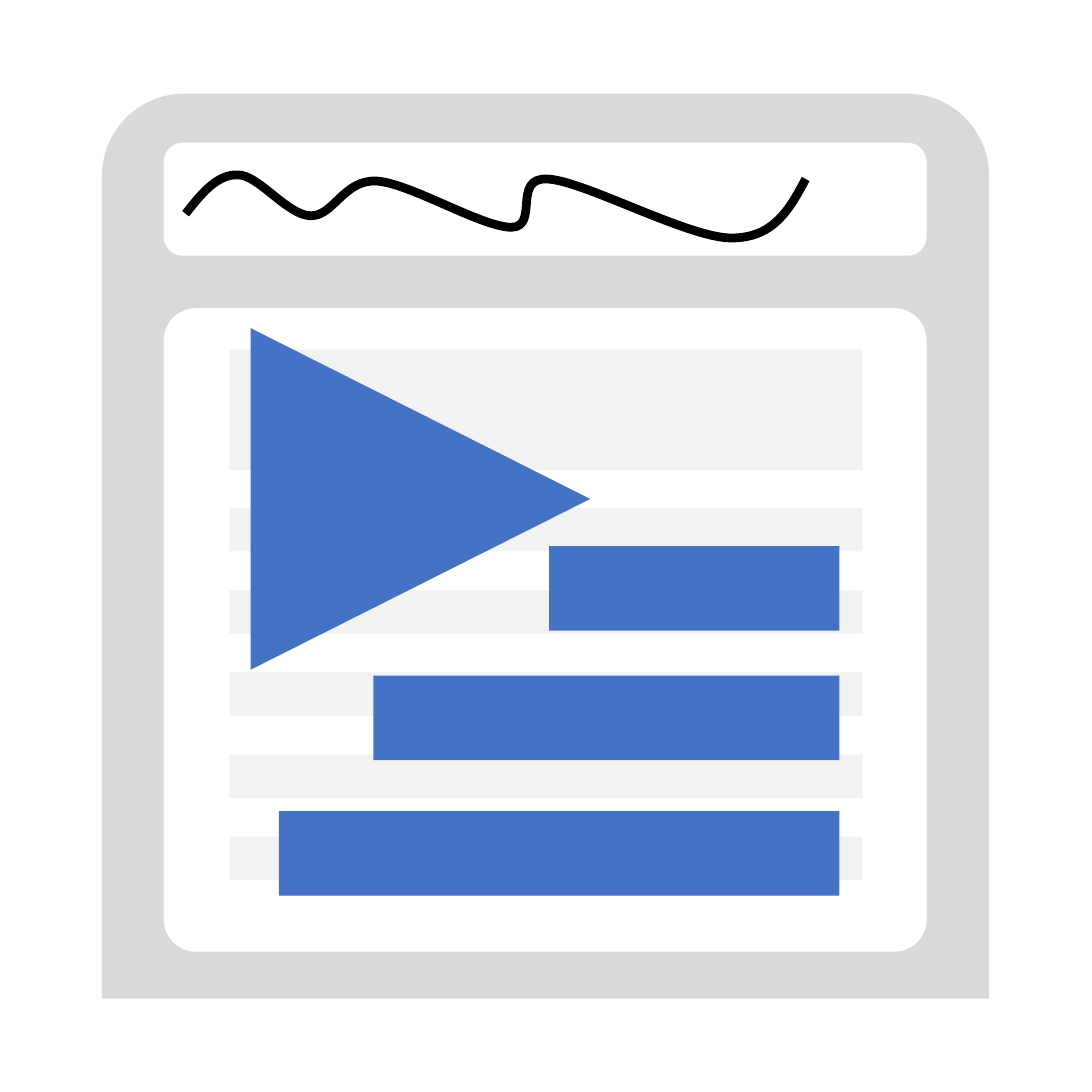
"""Build a slide with a page icon: a header scribble, text lines, a play triangle and bars."""
from pptx import Presentation
from pptx.dml.color import RGBColor
from pptx.enum.shapes import MSO_SHAPE as Preset
from pptx.oxml.ns import qn
from pptx.util import Cm, Pt

GREY, WHITE, PALE, BLUE, BLACK = "D9D9D9", "FFFFFF", "F2F2F2", "4472C4", "000000"


def color(hex_string):
    return RGBColor.from_string(hex_string)


def add_block(shapes, preset, fill, left, top, width, height, adjustments=()):
    shape = shapes.add_shape(preset, Cm(left), Cm(top), Cm(width), Cm(height))
    shape.shadow.inherit = False
    shape.fill.solid()
    shape.fill.fore_color.rgb = color(fill)
    shape.line.fill.background()
    for index, value in enumerate(adjustments):
        shape.adjustments[index] = value
    return shape


presentation = Presentation()
presentation.slide_width = presentation.slide_height = Cm(26.47)
slide = presentation.slides.add_slide(presentation.slide_layouts[6])
shapes = slide.shapes

add_block(shapes, Preset.ROUND_2_SAME_RECTANGLE, GREY, 2.47, 2.27, 21.51, 21.94, (0.093, 0))
add_block(shapes, Preset.ROUNDED_RECTANGLE, WHITE, 3.97, 3.46, 18.49, 2.74)
add_block(shapes, Preset.ROUNDED_RECTANGLE, WHITE, 3.97, 7.47, 18.49, 15.6, (0.05,))

scribble_start = (4.5, 5.18)
scribble_curves = [
    [(4.88, 4.7), (5.26, 4.22), (5.77, 4.24)],
    [(6.27, 4.24), (6.96, 5.21), (7.52, 5.23)],
    [(8.08, 5.26), (8.33, 4.34), (9.14, 4.39)],
    [(9.96, 4.45), (11.68, 5.51), (12.4, 5.51)],
    [(13.08, 5.49), (12.4, 4.29), (13.28, 4.34)],
    [(14.17, 4.39), (16.69, 5.77), (17.73, 5.77)],
    [(18.77, 5.77), (19.15, 5.05), (19.53, 4.34)],
]
builder = shapes.build_freeform(*map(Cm, scribble_start))
for curve in scribble_curves:
    builder.add_line_segments([(Cm(x), Cm(y)) for x, y in curve], close=False)
scribble = builder.convert_to_shape()
segments = list(scribble.element.iter(qn("a:lnTo")))
for first in range(0, len(segments), 3):
    bezier = segments[first].makeelement(qn("a:cubicBezTo"))
    segments[first].addprevious(bezier)
    for segment in segments[first:first + 3]:
        bezier.append(segment[0])
        segment.getparent().remove(segment)
scribble.shadow.inherit = False
scribble.fill.background()
scribble.line.color.rgb = color(BLACK)
scribble.line.width = Pt(6)

add_block(shapes, Preset.RECTANGLE, PALE, 5.56, 8.47, 15.35, 2.92)
for row in range(5):
    add_block(shapes, Preset.RECTANGLE, PALE, 5.56, 12.32 + 1.99 * row, 15.35, 1.05)

play_group = shapes.add_group_shape()
triangle = add_block(play_group.shapes, Preset.ISOSCELES_TRIANGLE, BLUE, 6.05, 7.98, 8.28, 8.23)
triangle.rotation = 90
bars_right = 20.35
for top, width in [(19.66, 13.59), (16.38, 11.3), (13.24, 7.04)]:
    add_block(play_group.shapes, Preset.RECTANGLE, BLUE, bars_right - width, top, width, 2.05)

presentation.save("out.pptx")
